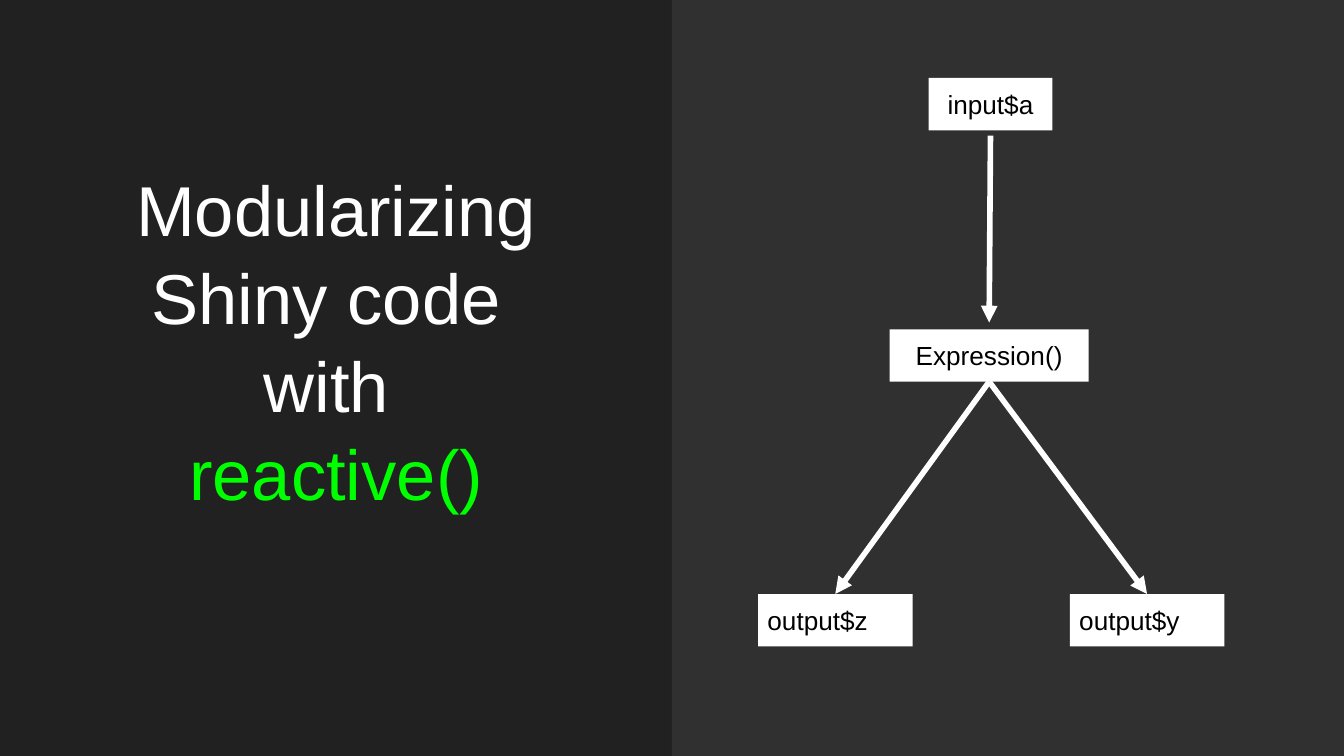
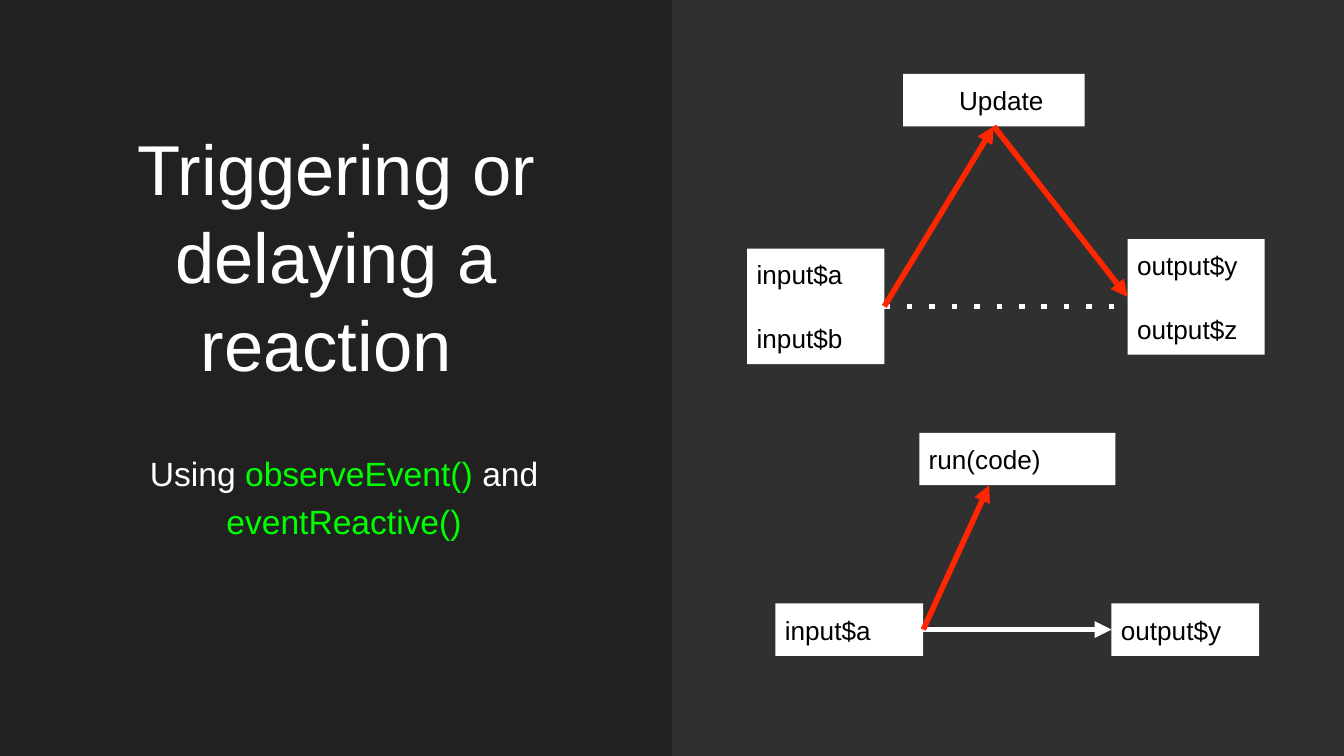
from lxml.etree import SubElement
from pptx import Presentation
from pptx.dml.color import RGBColor
from pptx.enum.shapes import MSO_CONNECTOR, MSO_SHAPE
from pptx.enum.text import MSO_ANCHOR, PP_ALIGN
from pptx.oxml.ns import qn
from pptx.util import Inches, Pt

COLS, ROWS = 100, 56.25
TOP, LEFT, BOTTOM, RIGHT = range(4)
WHITE, BLACK, GREEN, RED = "FFFFFF", "000000", "00FF00", "FF2600"
DARK, PANEL = "212121", "303030"
LOW = 3.9  # height of a one-line box, in rows


def color(code):
    return RGBColor.from_string(code)


class Deck:
    def __init__(self):
        self.prs = Presentation()
        self.prs.slide_width, self.prs.slide_height = Inches(10), Inches(5.625)
        self.slide = None

    def grid(self, col, row):
        return (round(self.prs.slide_width * col / COLS),
                round(self.prs.slide_height * row / ROWS))

    def place(self, col, row, wide, high):
        return *self.grid(col, row), *self.grid(wide, high)

    def page(self):
        """Start a slide with the dark ground and the right-hand panel."""
        self.slide = self.prs.slides.add_slide(self.prs.slide_layouts[6])
        fill = self.slide.background.fill
        fill.solid()
        fill.fore_color.rgb = color(DARK)
        self.rect(COLS / 2, 0, COLS / 2, ROWS, PANEL)

    def rect(self, col, row, wide, high, fill):
        shape = self.slide.shapes.add_shape(
            MSO_SHAPE.RECTANGLE, *self.place(col, row, wide, high))
        shape.shadow.inherit = False
        shape.fill.solid()
        shape.fill.fore_color.rgb = color(fill)
        shape.line.fill.background()
        return shape

    def frame(self, shape, inset, anchor):
        text = shape.text_frame
        text.word_wrap = True
        text.vertical_anchor = anchor
        text.margin_left = text.margin_right = Inches(inset)
        text.margin_top = text.margin_bottom = Inches(inset)
        return text

    def style(self, font, size, code):
        font.name, font.size = "Arial", Pt(size)
        font.color.rgb = color(code)

    def prose(self, spot, lines, size, anchor, space):
        """Add centred text; each line is a list of (words, color) runs."""
        shape = self.slide.shapes.add_textbox(*self.place(*spot))
        text = self.frame(shape, 0.1, anchor)
        for num, line in enumerate(lines):
            para = text.add_paragraph() if num else text.paragraphs[0]
            para.alignment = PP_ALIGN.CENTER
            para.line_spacing = space
            for words, code in line:
                run = para.add_run()
                run.text = words
                self.style(run.font, size, code)

    def title(self, high, *lines):
        self.prose((2.9, 13.5, 44.2, high), lines, 37.8, MSO_ANCHOR.BOTTOM, 1.04)

    def sub(self, *runs):
        self.prose((3.5, 32.1, 44.2, 8.7), [runs], 18, MSO_ANCHOR.TOP, 1.2)

    def node(self, col, row, wide, label, high=LOW, align=PP_ALIGN.LEFT, shift=0):
        shape = self.rect(col, row, wide, high, WHITE)
        text = self.frame(shape, 0.07, MSO_ANCHOR.MIDDLE)
        text.margin_left += Inches(shift)
        text.text = label
        for num, para in enumerate(text.paragraphs):
            para.alignment = align
            if num:
                para.space_before = Pt(17.5)
            for run in para.runs:
                self.style(run.font, 14, BLACK)
        return shape

    def link(self, start, end, code=WHITE, dots=False):
        """Draw a line between ends given as (node, side) or (col, row)."""
        line = self.slide.shapes.add_connector(MSO_CONNECTOR.STRAIGHT, 0, 0, 0, 0)
        if hasattr(start[0], "shape_type"):
            line.begin_connect(*start)
        else:
            line.begin_x, line.begin_y = self.grid(*start)
        if hasattr(end[0], "shape_type"):
            line.end_connect(*end)
        else:
            line.end_x, line.end_y = self.grid(*end)
        line.line.width = Pt(3)
        line.line.color.rgb = color(code)
        props = line.element.spPr
        kind, key, value = (("a:prstDash", "val", "dot") if dots
                            else ("a:tailEnd", "type", "triangle"))
        SubElement(props.find(qn("a:ln")), qn(kind)).set(key, value)
        SubElement(props, qn("a:effectLst"))


def reactive(deck):
    deck.page()
    deck.title(25.8, [("Modularizing Shiny code ", WHITE)],
               [("with ", WHITE)], [("reactive()", GREEN)])
    deck.node(69.1, 5.8, 9.2, "input$a", align=PP_ALIGN.CENTER)
    deck.link((73.7, 10.1), (73.6, 24))
    expr = deck.node(66.2, 24.5, 14.8, "Expression()", align=PP_ALIGN.CENTER)
    for col, label in ((56.4, "output$z"), (79.6, "output$y")):
        out = deck.node(col, 44.2, 11.5, label)
        deck.link((expr, BOTTOM), (out, TOP))


def trigger(deck):
    deck.page()
    deck.title(16.2, [("Triggering or delaying a reaction ", WHITE)])
    deck.sub(("Using ", WHITE), ("observeEvent() ", GREEN),
             ("and ", WHITE), ("eventReactive()", GREEN))

    source = deck.node(55.6, 18.5, 10.2, "input$a\ninput$b", high=8.6)
    target = deck.node(83.9, 17.8, 10.2, "output$y\noutput$z", high=8.6)
    update = deck.node(67.2, 5.5, 13.5, "Update",
                       align=PP_ALIGN.CENTER, shift=0.11)
    deck.link((source, RIGHT), (83.9, 22.8), dots=True)
    deck.link((source, RIGHT), (update, BOTTOM), RED)
    deck.link((update, BOTTOM), (target, LEFT), RED)

    source = deck.node(57.7, 44.9, 11, "input$a")
    target = deck.node(82.7, 44.9, 11, "output$y")
    deck.node(68.4, 32.2, 14.6, "run(code)")
    deck.link((source, RIGHT), (target, LEFT))
    deck.link((source, RIGHT), (73.6, 36.1), RED)


def main():
    deck = Deck()
    reactive(deck)
    trigger(deck)
    deck.prs.save("out.pptx")


if __name__ == "__main__":
    main()
